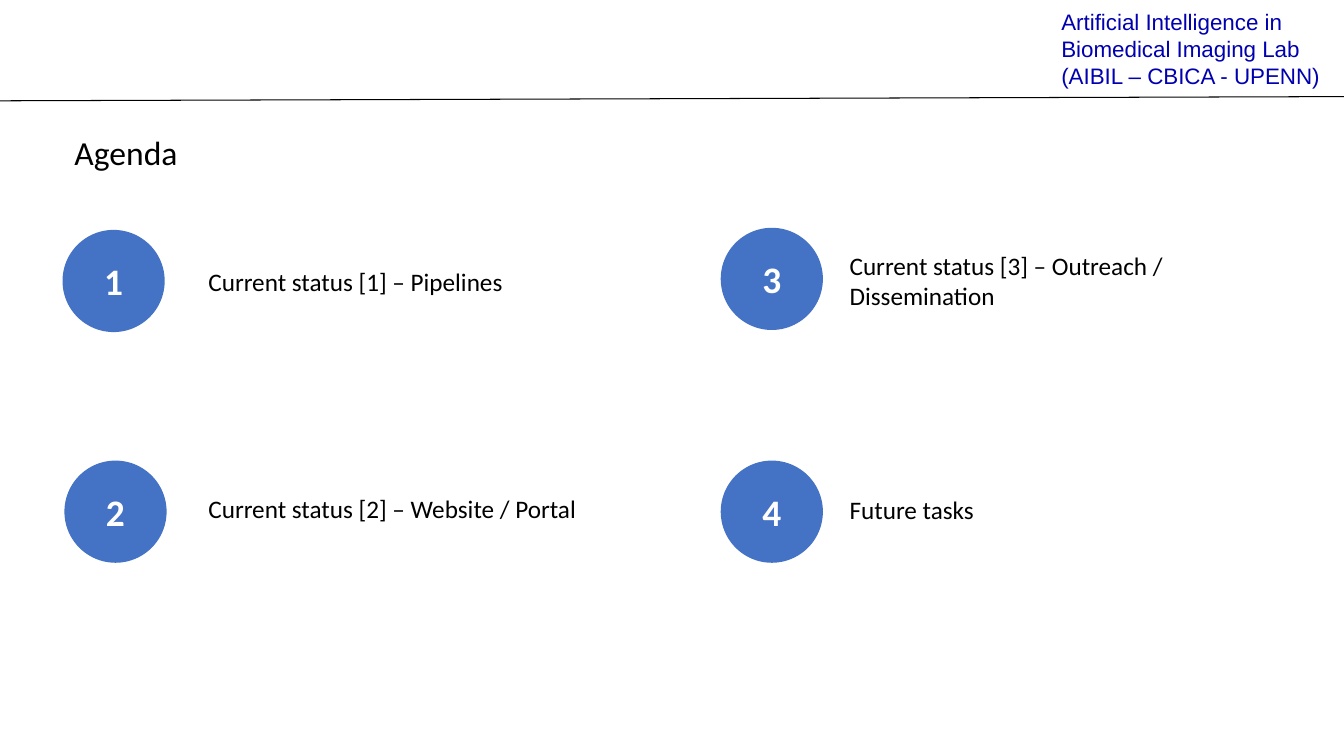
from dataclasses import dataclass

from pptx import Presentation
from pptx.dml.color import RGBColor
from pptx.enum import shapes, text
from pptx.oxml import xmlchemy
from pptx.util import Pt


@dataclass(frozen=True)
class Theme:
    ink: str = "000000"
    header: str = "0000B0"
    accent: str = "4472C4"
    light: str = "FFFFFF"
    body_font: str = "Calibri"
    header_font: str = "Arial"
    header_size: float = 16
    title_size: float = 24
    number_size: float = 26.7
    label_size: float = 18
    rule_width: float = 0.75


THEME = Theme()
CIRCLE_SIZE = 73
LABEL_WIDTH = 302.4
AGENDA = [
    ("1", (44.64, 164.2), "Current status [1] – Pipelines", (141.8, 186.5, 29)),
    ("2", (46, 329), "Current status [2] – Website / Portal", (141.8, 348.5, 29)),
    ("3", (514.8, 162.7), "Current status [3] – Outreach / Dissemination", (599.8, 175, 51)),
    ("4", (514.8, 329), "Future tasks", (599.8, 349.2, 29)),
]


def write_text(shape, content, *, size, font=THEME.body_font, color=THEME.ink,
               bold=False, align=text.PP_ALIGN.LEFT,
               anchor=text.MSO_ANCHOR.TOP, margins=(7.2, 3.6)):
    frame = shape.text_frame
    frame.word_wrap = True
    frame.auto_size = text.MSO_AUTO_SIZE.NONE
    frame.vertical_anchor = anchor
    frame.margin_left = frame.margin_right = Pt(margins[0])
    frame.margin_top = frame.margin_bottom = Pt(margins[1])
    frame.text = content
    for paragraph in frame.paragraphs:
        paragraph.alignment = align
        paragraph.font.size = Pt(size)
        paragraph.font.name = font
        paragraph.font.bold = bold
        paragraph.font.color.rgb = RGBColor.from_string(color)


def add_text_box(slide, content, left, top, width, height, **text_format):
    box = slide.shapes.add_textbox(Pt(left), Pt(top), Pt(width), Pt(height))
    write_text(box, content, **text_format)


def add_number_circle(slide, number, left, top):
    circle = slide.shapes.add_shape(
        shapes.MSO_SHAPE.OVAL, Pt(left), Pt(top), Pt(CIRCLE_SIZE), Pt(CIRCLE_SIZE))
    circle.shadow.inherit = False
    circle.fill.solid()
    circle.fill.fore_color.rgb = RGBColor.from_string(THEME.accent)
    circle.line.fill.background()
    write_text(circle, number, size=THEME.number_size, color=THEME.light, bold=True,
               align=text.PP_ALIGN.CENTER, anchor=text.MSO_ANCHOR.MIDDLE, margins=(0, 0))


def add_header_rule(slide):
    rule = slide.shapes.add_connector(
        shapes.MSO_CONNECTOR.STRAIGHT, Pt(0), Pt(72), Pt(960), Pt(69))
    rule.line.color.rgb = RGBColor.from_string(THEME.ink)
    rule.line.width = Pt(THEME.rule_width)
    properties = rule._element.spPr
    properties.append(xmlchemy.OxmlElement("a:effectLst"))


def place_title(slide, content):
    title = slide.shapes.title
    title.left, title.top, title.width, title.height = Pt(46), Pt(90.7), Pt(95.8), Pt(36)
    write_text(title, content, size=THEME.title_size)


def main():
    presentation = Presentation()
    presentation.slide_width, presentation.slide_height = Pt(960), Pt(540)
    slide = presentation.slides.add_slide(presentation.slide_layouts.get_by_name("Title Only"))
    add_header_rule(slide)
    add_text_box(
        slide, "Artificial Intelligence in Biomedical Imaging Lab\n(AIBIL – CBICA - UPENN)",
        751, 2.2, 209, 67, size=THEME.header_size, font=THEME.header_font, color=THEME.header)
    place_title(slide, "Agenda")
    for number, circle_position, label, (left, top, height) in AGENDA:
        add_number_circle(slide, number, *circle_position)
        add_text_box(slide, label, left, top, LABEL_WIDTH, height, size=THEME.label_size)
    presentation.save("out.pptx")


if __name__ == "__main__":
    main()
